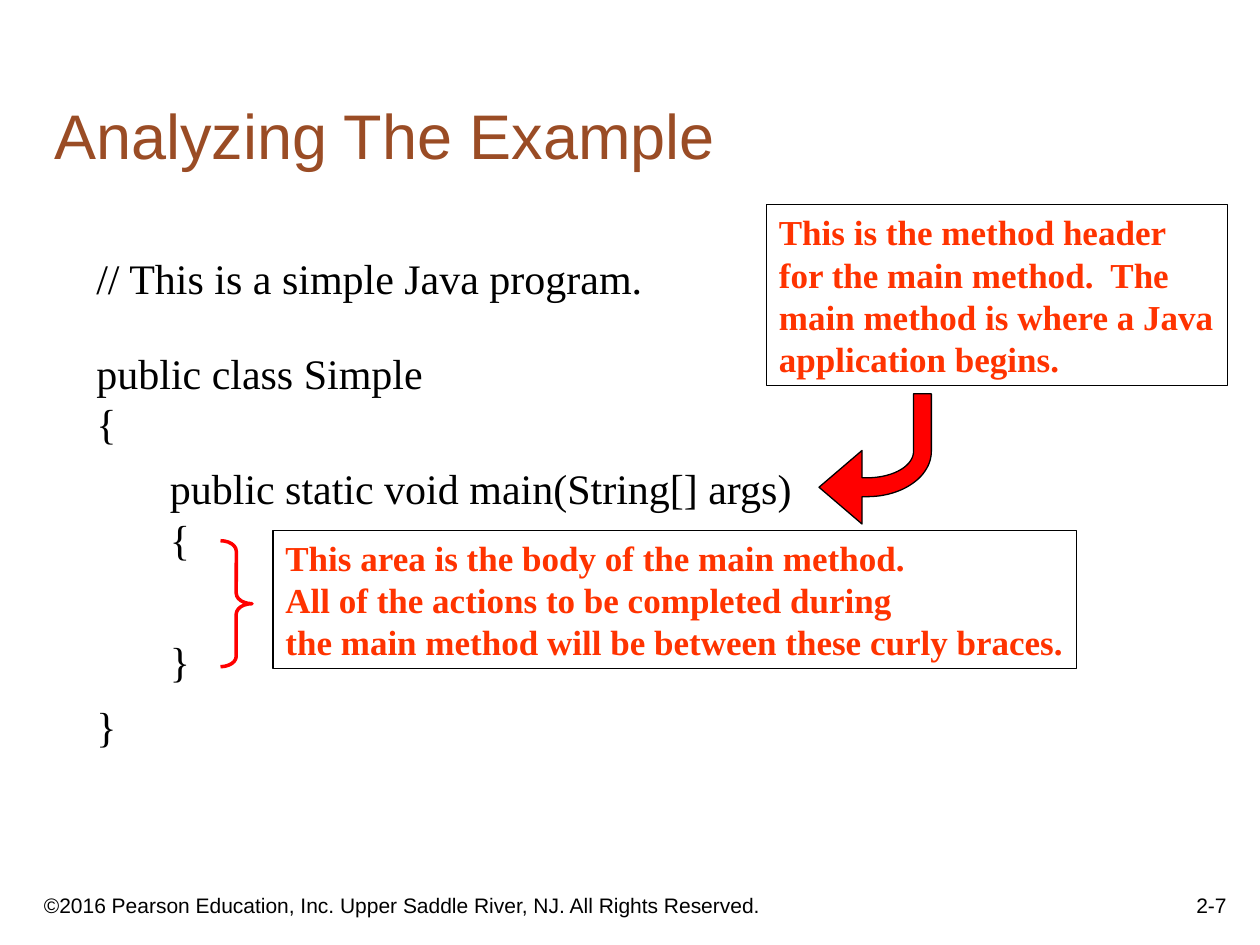
from math import cos, pi, sin

from pptx import Presentation
from pptx.dml.color import RGBColor
from pptx.enum.shapes import MSO_SHAPE
from pptx.enum.text import MSO_ANCHOR, PP_ALIGN
from pptx.util import Inches, Pt

BLACK = RGBColor(0x00, 0x00, 0x00)
BROWN = RGBColor(0x9A, 0x4C, 0x25)
ORANGE = RGBColor(0xFF, 0x33, 0x00)
RED = RGBColor(0xFF, 0x00, 0x00)
SANS, SERIF = "Arial", "Times New Roman"

prs = Presentation()
prs.slide_width, prs.slide_height = Inches(10), Inches(7.5)
s = prs.slides.add_slide(prs.slide_layouts[6])
COL = prs.slide_width // 120
ROW = prs.slide_height // 90


def grid(x, y, w, h):
    return round(x * COL), round(y * ROW), round(w * COL), round(h * ROW)


def add_text(box, lines, font, size, color, bold=False, wrap=True,
             anchor=MSO_ANCHOR.TOP, align=PP_ALIGN.LEFT):
    sp = s.shapes.add_textbox(*grid(*box))
    tf = sp.text_frame
    tf.word_wrap = wrap
    tf.vertical_anchor = anchor
    for i, (text, before) in enumerate(lines):
        p = tf.paragraphs[0] if i == 0 else tf.add_paragraph()
        p.alignment = align
        p.space_before = Pt(before)
        r = p.add_run()
        r.text = text
        r.font.name, r.font.size, r.font.bold = font, Pt(size), bold
        r.font.color.rgb = color
    return sp


copyright_line = "©2016 Pearson Education, Inc. Upper Saddle River, NJ. All Rights Reserved."
for box, text, size, color, align in [
    ((3, 83, 73, 5), copyright_line, 12, BLACK, PP_ALIGN.LEFT),
    ((93, 82, 25, 6), "2-7", 12, BLACK, PP_ALIGN.RIGHT),
    ((4, 4, 113, 13), "Analyzing The Example", 36, BROWN, PP_ALIGN.LEFT),
]:
    add_text(box, [(text, 0)], SANS, size, color,
             anchor=MSO_ANCHOR.BOTTOM, align=align)

for box, lines in [
    ((8, 23.5, 54.5, 6), [("// This is a simple Java program.", 0)]),
    ((8, 32.5, 39, 39.6), [("public class Simple", 0), ("{", 0), ("}", 144)]),
    ((15, 43.5, 61.7, 28.2),
     [("public static void main(String[] args)", 0), ("{", 0), ("}", 41)]),
]:
    add_text(box, lines, SERIF, 24, BLACK, wrap=False)

for box, lines in [
    ((26, 50.5, 76.5, 13.2), [
        "This area is the body of the main method.",
        "All of the actions to be completed during",
        "the main method will be between these curly braces."]),
    ((73, 19.5, 43.9, 17.2), [
        "This is the method header",
        "for the main method.  The",
        "main method is where a Java",
        "application begins."]),
]:
    sp = add_text(box, [(line, 0) for line in lines], SERIF, 20, ORANGE, bold=True)
    sp.text_frame.margin_right = 0
    sp.line.color.rgb = BLACK
    sp.line.width = Pt(0.75)

brace = s.shapes.add_shape(MSO_SHAPE.RIGHT_BRACE, *grid(21, 51.5, 3, 12))
brace.adjustments[0] = 0.33
brace.fill.background()
brace.line.color.rgb = RED
brace.line.width = Pt(2)
brace.shadow.inherit = False

STEPS = 24
angles = [pi / 2 * i / STEPS for i in range(STEPS + 1)]
outer = [(82.6 + 6.1 * cos(a), 43 + 4.3 * sin(a)) for a in reversed(angles)]
inner = [(82.6 + 4.4 * cos(a), 43 + 2.5 * sin(a)) for a in angles]
outline = [(82.1, 49.9), (82.1, 47.3), *outer, (88.7, 37.5), (87, 37.5),
           *inner, (82.1, 45.5), (82.1, 42.9)]
builder = s.shapes.build_freeform(78 * COL, round(46.4 * ROW))
builder.add_line_segments([(round(x * COL), round(y * ROW)) for x, y in outline], close=True)
arrow = builder.convert_to_shape()
arrow.fill.solid()
arrow.fill.fore_color.rgb = RED
arrow.line.color.rgb = BLACK
arrow.line.width = Pt(0.75)
arrow.shadow.inherit = False

prs.save("out.pptx")
